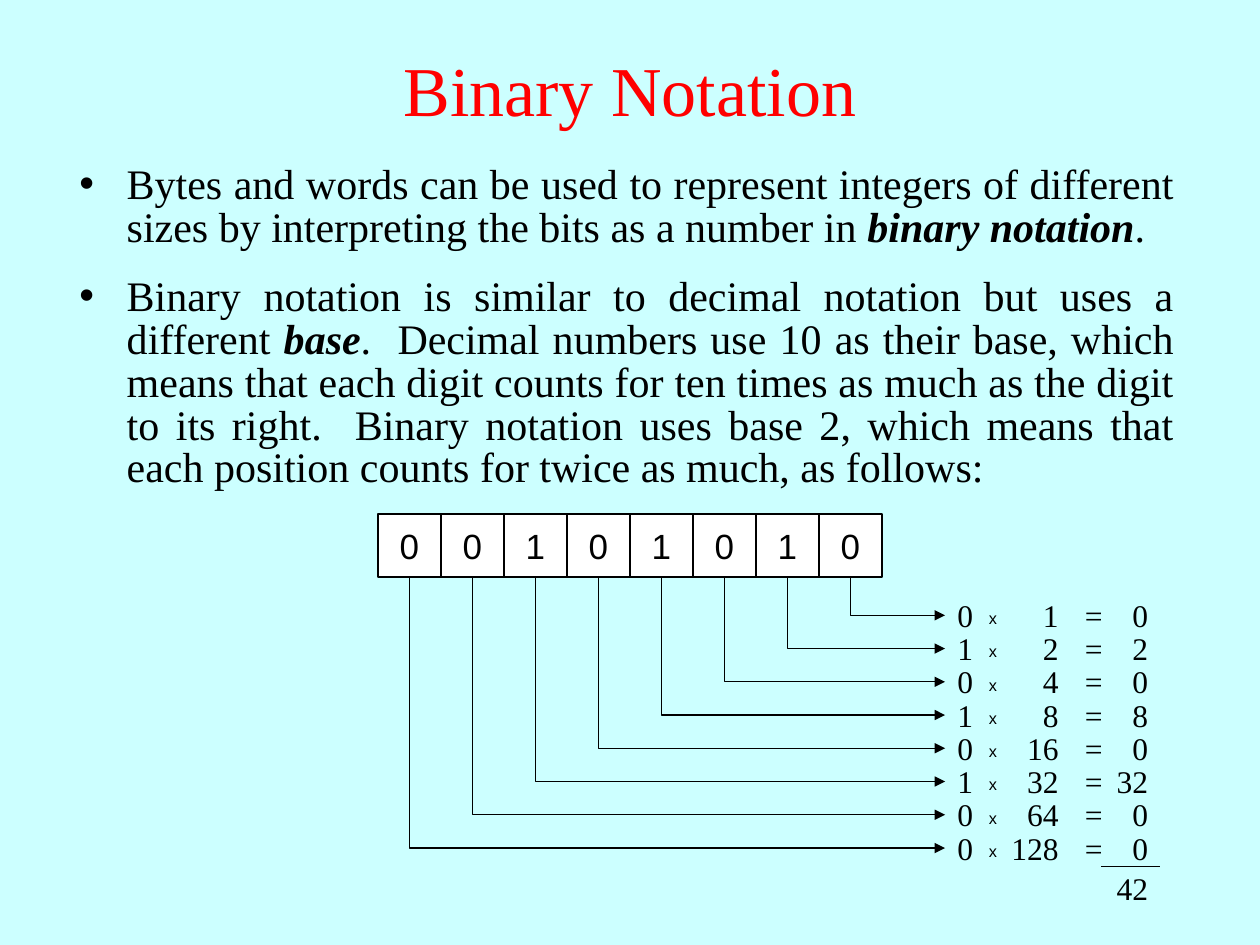
"""Build a slide that explains binary notation with a worked byte."""
from lxml import etree
from pptx import Presentation
from pptx.dml.color import RGBColor
from pptx.enum.shapes import MSO_CONNECTOR, MSO_SHAPE
from pptx.enum.text import MSO_ANCHOR, MSO_AUTO_SIZE, PP_ALIGN
from pptx.oxml.ns import qn
from pptx.util import Pt

LEFT, CENTER, RIGHT, JUSTIFY = PP_ALIGN.LEFT, PP_ALIGN.CENTER, PP_ALIGN.RIGHT, PP_ALIGN.JUSTIFY
STRAIGHT, ELBOW = MSO_CONNECTOR.STRAIGHT, MSO_CONNECTOR.ELBOW
RECTANGLE = MSO_SHAPE.RECTANGLE
TOP, MIDDLE = MSO_ANCHOR.TOP, MSO_ANCHOR.MIDDLE
NO_FIT, GROW = MSO_AUTO_SIZE.NONE, MSO_AUTO_SIZE.SHAPE_TO_FIT_TEXT

PALE_CYAN = RGBColor(0xCC, 0xFF, 0xFF)
RED = RGBColor(0xFF, 0, 0)
BLACK = RGBColor(0, 0, 0)
WHITE = RGBColor(0xFF, 0xFF, 0xFF)
SERIF, SANS = "Times New Roman", "Arial"

TITLE = "Binary Notation"
BULLETS = [
    (90.7, 82.8, [
        ("Bytes and words can be used to represent integers of different sizes "
         "by interpreting the bits as a number in ", False),
        ("binary notation", True),
        (".", False),
    ]),
    (154.8, 144.7, [
        ("Binary notation is similar to decimal notation but uses a different ", False),
        ("base", True),
        (".  Decimal numbers use 10 as their base, which means that each digit "
         "counts for ten times as much as the digit to its right.  Binary notation "
         "uses base 2, which means that each position counts for twice as much, "
         "as follows:", False),
    ]),
]
BITS = [0, 0, 1, 0, 1, 0, 1, 0]

CELL = 36
BYTE_LEFT, BYTE_TOP = 216, 293.75
ROW_TOP, ROW_PITCH = 337, 19
ARROW_OFFSET, ARROW_END = 14.6, 540
DIGIT_COLUMN = (540, 90)
WEIGHT_COLUMN = (563.8, 48.2)
EQUALS_COLUMN = (614.9, 12.2)
VALUE_COLUMN = (627.1, 36)
SUM_TOP, SUM_LINE = 493.2, 495.2


def place(shape, left, top, width, height):
    shape.left, shape.top, shape.width, shape.height = map(Pt, (left, top, width, height))


def style(paragraph, size, align, name=SERIF, color=BLACK):
    paragraph.alignment = align
    paragraph.font.size = Pt(size)
    paragraph.font.name = name
    paragraph.font.color.rgb = color


def add_label(slide, column, top, text, align, space_before=11.2):
    left, width = column
    box = slide.shapes.add_textbox(Pt(left), Pt(top), Pt(width), Pt(28.8))
    box.text_frame.word_wrap = True
    box.text_frame.auto_size = GROW
    paragraph = box.text_frame.paragraphs[0]
    paragraph.add_run().text = text
    paragraph.space_before = Pt(space_before)
    style(paragraph, 18, align)
    return paragraph


def add_line(slide, kind, left, top, right, bottom):
    line = slide.shapes.add_connector(kind, Pt(left), Pt(top), Pt(right), Pt(bottom))
    line.line.color.rgb = BLACK
    line.line.width = Pt(0.75)
    etree.SubElement(line.element.spPr, qn("a:effectLst"))
    return line


def add_down_right_arrow(slide, left, top, right, bottom):
    across, down = right - left, bottom - top
    box_left = (left + right - down) / 2
    box_top = (top + bottom - across) / 2
    arrow = add_line(slide, ELBOW, box_left, box_top, box_left + down, box_top + across)
    properties = arrow.element.spPr
    properties.find(qn("a:prstGeom")).set("prst", "bentConnector2")
    transform = properties.find(qn("a:xfrm"))
    transform.set("rot", "16200000")
    transform.set("flipH", "1")
    etree.SubElement(properties.find(qn("a:ln")), qn("a:tailEnd"), type="triangle")


def add_heading(slide):
    title = slide.shapes.title
    place(title, 0, 5.75, 720, 90)
    title.text_frame.text = TITLE
    title.text_frame.vertical_anchor = MIDDLE
    style(title.text_frame.paragraphs[0], 40, CENTER, color=RED)


def add_bullet(body, top, height, pieces):
    place(body, 38.2, top, 640, height)
    body.text_frame.auto_size = NO_FIT
    body.text_frame.vertical_anchor = TOP
    paragraph = body.text_frame.paragraphs[0]
    paragraph.line_spacing = 0.85
    paragraph.space_before, paragraph.space_after = Pt(0), Pt(15)
    style(paragraph, 24, JUSTIFY)
    for text, emphasized in pieces:
        run = paragraph.add_run()
        run.text = text
        if emphasized:
            run.font.bold = run.font.italic = True


def add_bit(slide, left, bit):
    cell = slide.shapes.add_shape(RECTANGLE, Pt(left), Pt(BYTE_TOP), Pt(CELL), Pt(CELL))
    cell.shadow.inherit = False
    cell.fill.solid()
    cell.fill.fore_color.rgb = WHITE
    cell.line.color.rgb = BLACK
    cell.line.width = Pt(0.75)
    cell.text_frame.word_wrap = False
    cell.text_frame.vertical_anchor = MIDDLE
    cell.text_frame.text = str(bit)
    style(cell.text_frame.paragraphs[0], 20, CENTER, SANS)


def add_product(slide, top, bit, weight):
    digit = add_label(slide, DIGIT_COLUMN, top, f"{bit}  ", LEFT, 10)
    times = digit.add_run()
    times.text = "x"
    times.font.size = Pt(16)
    times.font.name = SANS
    times.font._element.set("baseline", "10000")
    add_label(slide, WEIGHT_COLUMN, top, str(weight), RIGHT)
    add_label(slide, EQUALS_COLUMN, top, "= ", CENTER)
    add_label(slide, VALUE_COLUMN, top, str(bit * weight), RIGHT)


def main():
    presentation = Presentation()
    presentation.slide_width, presentation.slide_height = Pt(720), Pt(540)
    slide = presentation.slides.add_slide(presentation.slide_layouts.get_by_name("Two Content"))
    slide.background.fill.solid()
    slide.background.fill.fore_color.rgb = PALE_CYAN

    add_heading(slide)
    for number, bullet in enumerate(BULLETS, start=1):
        add_bullet(slide.placeholders[number], *bullet)

    total = 0
    for column, bit in enumerate(BITS):
        power = len(BITS) - 1 - column
        left, top = BYTE_LEFT + column * CELL, ROW_TOP + power * ROW_PITCH
        add_bit(slide, left, bit)
        add_down_right_arrow(slide, left + CELL / 2, BYTE_TOP + CELL,
                             ARROW_END, top + ARROW_OFFSET)
        add_product(slide, top, bit, 2 ** power)
        total += bit * 2 ** power

    add_line(slide, STRAIGHT, 629.3, SUM_LINE, 663.1, SUM_LINE)
    add_label(slide, VALUE_COLUMN, SUM_TOP, str(total), RIGHT)
    presentation.save("out.pptx")


if __name__ == "__main__":
    main()
